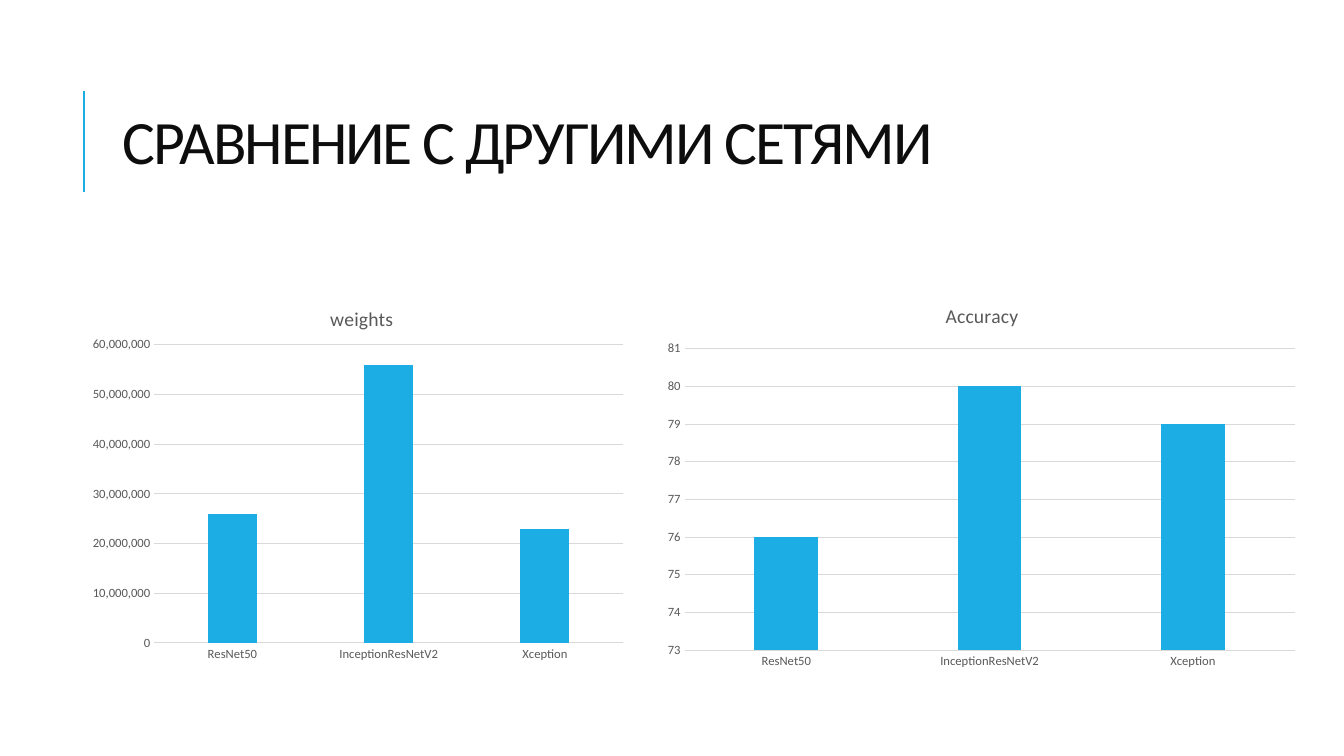
import pptx
import pptx.chart.data
import pptx.dml.color
import pptx.enum.chart
import pptx.enum.shapes
import pptx.enum.text
import pptx.oxml
import pptx.oxml.ns
import pptx.util
from pptx.util import Inches

BLUE = pptx.dml.color.RGBColor(0x1C, 0xAD, 0xE4)
INK = pptx.dml.color.RGBColor(0x0D, 0x0D, 0x0D)
GREY = pptx.dml.color.RGBColor(0x59, 0x59, 0x59)
GRID = pptx.dml.color.RGBColor(0xD9, 0xD9, 0xD9)
FONT = "Calibri"
NETWORKS = ["ResNet50", "InceptionResNetV2", "Xception"]


def style_font(font, size, color):
    font.name = FONT
    font.size = pptx.util.Pt(size)
    font.bold = False
    font.color.rgb = color


def style_line(line, color, width):
    line.color.rgb = color
    line.width = pptx.util.Pt(width)


def add_accent_line(page, x, top, bottom):
    accent = page.shapes.add_connector(
        pptx.enum.shapes.MSO_CONNECTOR.STRAIGHT,
        Inches(x), Inches(bottom), Inches(x), Inches(top))
    style_line(accent.line, BLUE, 1.5)
    properties = accent.element.spPr
    properties.append(properties.makeelement(pptx.oxml.ns.qn("a:effectLst"), {}))


def add_heading(page, text, left, top, width, height):
    box = page.shapes.add_textbox(
        Inches(left), Inches(top), Inches(width), Inches(height))
    frame = box.text_frame
    frame.word_wrap = True
    frame.vertical_anchor = pptx.enum.text.MSO_ANCHOR.MIDDLE
    para = frame.paragraphs[0]
    para.line_spacing = 0.8
    span = para.add_run()
    span.text = text
    style_font(span.font, 44, INK)
    span._r.get_or_add_rPr().set("spc", "-150")


def make_layout(place, area, target=""):
    left, top, width, height = place
    sizes = (width, height)
    fractions = [(area[0] - left) / width, (area[1] - top) / height]
    fractions += [length / size for length, size in zip(area[2:], sizes)]
    places = "".join(
        f'<c:{name} val="{value}"/>' for name, value in zip("xywh", fractions))
    return pptx.oxml.parse_xml(
        f'<c:layout {pptx.oxml.ns.nsdecls("c")}><c:manualLayout>{target}'
        f'<c:xMode val="edge"/><c:yMode val="edge"/>{places}'
        "</c:manualLayout></c:layout>")


def set_layout(parent, position, layout):
    for previous in parent.findall(pptx.oxml.ns.qn("c:layout")):
        parent.remove(previous)
    parent.insert(position, layout)


def style_axis(axis):
    axis.major_tick_mark = pptx.enum.chart.XL_TICK_MARK.NONE
    axis.minor_tick_mark = pptx.enum.chart.XL_TICK_MARK.NONE
    style_font(axis.tick_labels.font, 9, GREY)


def add_chart_title(chart, title):
    chart.has_title = True
    chart.chart_title.include_in_layout = False
    span = chart.chart_title.text_frame.paragraphs[0].add_run()
    span.text = title
    style_font(span.font, 14, GREY)


def add_column_chart(page, title, values, place, scale, number_format, plot_area):
    data = pptx.chart.data.CategoryChartData()
    data.categories = NETWORKS
    data.add_series(title, values)
    chart = page.shapes.add_chart(
        pptx.enum.chart.XL_CHART_TYPE.COLUMN_CLUSTERED,
        *[Inches(length) for length in place], data).chart
    style_font(chart.font, 10, GREY)
    chart.has_legend = False
    add_chart_title(chart, title)

    plot = chart.plots[0]
    plot.vary_by_categories = False
    plot.gap_width = 219
    plot.overlap = -27
    fill = plot.series[0].format.fill
    fill.solid()
    fill.fore_color.rgb = BLUE

    style_axis(chart.category_axis)
    style_line(chart.category_axis.format.line, GRID, 0.75)
    value_axis = chart.value_axis
    style_axis(value_axis)
    value_axis.format.line.fill.background()
    value_axis.minimum_scale, value_axis.maximum_scale, value_axis.major_unit = scale
    value_axis.tick_labels.number_format = number_format
    value_axis.tick_labels.number_format_is_linked = False
    value_axis.has_major_gridlines = True
    style_line(value_axis.major_gridlines.format.line, GRID, 0.75)
    set_layout(
        chart.element.find(".//" + pptx.oxml.ns.qn("c:plotArea")), 0,
        make_layout(place, plot_area, '<c:layoutTarget val="inner"/>'))
    return chart


def main():
    deck = pptx.Presentation()
    deck.slide_width = Inches(13.33)
    deck.slide_height = Inches(7.5)
    page = deck.slides.add_slide(deck.slide_layouts[6])
    add_accent_line(page, 0.83, 0.9, 1.9)
    add_heading(page, "СРАВНЕНИЕ С ДРУГИМИ СЕТЯМИ", 1.12, 0.64, 10.63, 1.64)
    weights_place = (0.6, 2.76, 5.69, 4.1)
    weights = add_column_chart(
        page, "weights", [26000000, 56000000, 23000000], weights_place,
        (0, 60000000, 10000000), "#,##0", (1.53, 3.42, 4.65, 2.96))
    set_layout(
        weights.chart_title._element, 1, make_layout(weights_place, (3.24, 2.99)))
    add_column_chart(
        page, "Accuracy", [76, 80, 79], (6.5, 2.83, 6.48, 3.89),
        (73, 81, 1), "General", (6.79, 3.46, 6.05, 2.99))
    deck.save("out.pptx")


if __name__ == "__main__":
    main()
